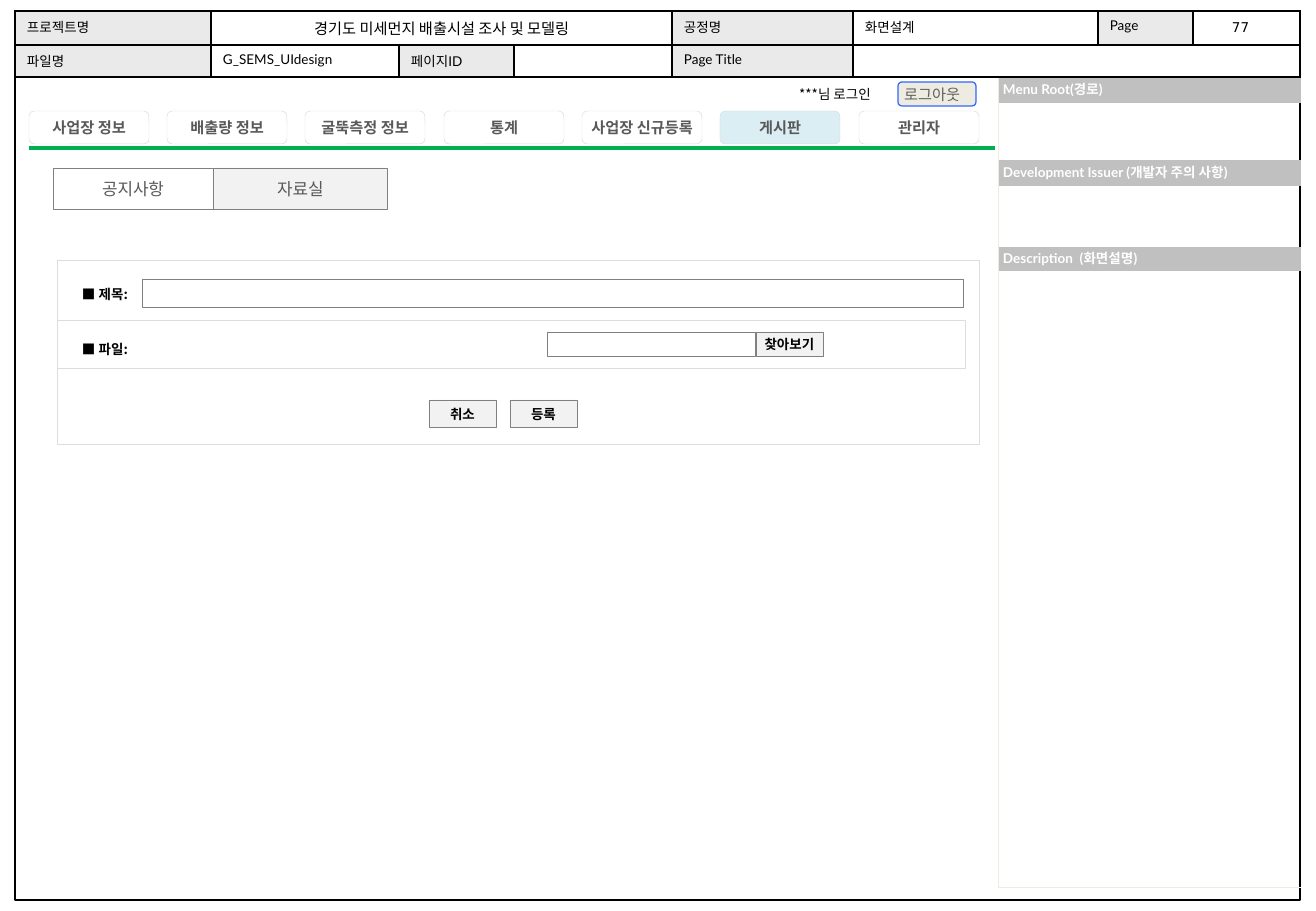
from lxml.etree import SubElement
from pptx import Presentation
from pptx.dml.color import RGBColor
from pptx.enum.shapes import MSO_CONNECTOR, MSO_SHAPE
from pptx.enum.text import MSO_ANCHOR, MSO_AUTO_SIZE, PP_ALIGN
from pptx.oxml.ns import qn
from pptx.util import Emu, Pt

PX = 7526
KR = "Noto Sans CJK KR"
RECT, ROUND = MSO_SHAPE.RECTANGLE, MSO_SHAPE.ROUNDED_RECTANGLE
LEFT, CENTER = PP_ALIGN.LEFT, PP_ALIGN.CENTER
BLACK, WHITE, GRAY, DARK = "000000", "FFFFFF", "808080", "595959"
LABEL, BAR, BUTTON, PALE = "EAEAEA", "C0C0C0", "F2F2F2", "EEECE1"

HEADER_COLS = [196, 188, 115, 158, 181, 245, 95, 107]
HEADER_ROWS = [34, 32]
HEADER = [
    ["프로젝트명", "경기도 미세먼지 배출시설 조사 및 모델링", "", "", "공정명", "화면설계", "Page", ""],
    ["파일명", "G_SEMS_UIdesign", "페이지ID", "", "Page Title", "", "", ""],
]
HEADER_LABELS = {"프로젝트명", "공정명", "Page", "파일명", "페이지ID", "Page Title"}
PROJECT_TITLE = HEADER[0][1]
HEADER_MERGES = [(0, 1, 3), (1, 5, 7)]

SIDE_ROWS = [24, 57, 26, 61, 24, 616]
SIDE = ["Menu Root(경로)", "", "Development Issuer (개발자 주의 사항)", "",
        "Description  (화면설명)", ""]

MENU = ["사업장 정보", "배출량 정보", "굴뚝측정 정보", "통계", "사업장 신규등록", "게시판", "관리자"]
ACTIVE_MENU = "게시판"
MENU_LEFT, MENU_SPAN = 29, 830

FORM_BOXES = [
    ((57, 260, 922, 184), None, "DDDDDD", 0.25),
    ((142, 279, 822, 29), WHITE, GRAY, 0.5),
    ((57, 320, 908, 48), None, "DDDDDD", 0.25),
    ((547, 332, 209, 24), WHITE, GRAY, 0.5),
]
FORM_LABELS = [("■ 제목:", (77, 273, 60, 34)), ("■ 파일:", (77, 328, 64, 34))]
FORM_BUTTONS = [
    ("찾아보기", (756, 332, 67, 24)),
    ("취소", (429, 400, 67, 28)),
    ("등록", (510, 400, 67, 28)),
]
TABS = [("공지사항", (53, 168, 160, 41), None), ("자료실", (213, 168, 175, 41), BUTTON)]


def px(*values):
    return [Emu(v * PX) for v in values]


def rgb(color):
    return RGBColor.from_string(color)


def paint(fill, color):
    if color:
        fill.solid()
        fill.fore_color.rgb = rgb(color)
    else:
        fill.background()


def write(tf, text, size, font=KR, color=BLACK, bold=False, align=LEFT, spacing=None, margin=5):
    tf.margin_left = tf.margin_right = Emu(margin * PX)
    tf.margin_top = tf.margin_bottom = Emu(5 * PX)
    tf.text = text
    p = tf.paragraphs[0]
    p.alignment = align
    if spacing:
        p.line_spacing = spacing
    for r in p.runs:
        r.font.size, r.font.name, r.font.bold = Pt(size), font, bold
        r.font.color.rgb = rgb(color)
        SubElement(r.font._element, qn("a:ea"), typeface=KR)


def add_box(box, fill, line, width, kind=RECT):
    sp = slide.shapes.add_shape(kind, *px(*box))
    sp.shadow.inherit = False
    paint(sp.fill, fill)
    sp.line.color.rgb = rgb(line)
    sp.line.width = Pt(width)
    return sp


def add_button(text, box, fill, line, width, kind=RECT, wrap=True, **style):
    tf = add_box(box, fill, line, width, kind).text_frame
    tf.vertical_anchor = MSO_ANCHOR.MIDDLE
    tf.word_wrap = wrap
    write(tf, text, **style)


def add_text(text, box, **style):
    tf = slide.shapes.add_textbox(*px(*box)).text_frame
    tf.word_wrap = False
    tf.auto_size = MSO_AUTO_SIZE.SHAPE_TO_FIT_TEXT
    write(tf, text, **style)


def add_grid(left, top, cols, rows):
    shape = slide.shapes.add_table(len(rows), len(cols), *px(left, top, sum(cols), sum(rows)))
    table = shape.table
    table.first_row = table.horz_banding = False
    for col, w in zip(table.columns, cols):
        col.width = Emu(w * PX)
    for row, h in zip(table.rows, rows):
        row.height = Emu(h * PX)
    return table


def fill_cell(cell, text, fill, borders, **style):
    tcPr = cell._tc.get_or_add_tcPr()
    for side in "LRTB":
        color, width = borders.get(side, (None, 0))
        ln = SubElement(tcPr, qn("a:ln" + side), w=str(Pt(width)))
        if color:
            SubElement(SubElement(ln, qn("a:solidFill")), qn("a:srgbClr"), val=color)
        else:
            SubElement(ln, qn("a:noFill"))
    paint(cell.fill, fill)
    if text:
        write(cell.text_frame, text, font="Lato", **style)
        margin = Emu(style.get("margin", 5) * PX)
        cell.margin_left = cell.margin_right = margin
        cell.margin_top = cell.margin_bottom = Emu((6 if margin > 5 * PX else 5) * PX)
    else:
        SubElement(cell.text_frame.paragraphs[0]._p, qn("a:endParaRPr"), sz="800")


prs = Presentation()
prs.slide_width, prs.slide_height = px(1316, 911)
slide = prs.slides.add_slide(prs.slide_layouts[6])

add_box((15, 77, 1285, 823), None, BLACK, 0.75)

side = add_grid(998, 78, [303], SIDE_ROWS)
for i, text in enumerate(SIDE):
    borders = {"L": (PALE, 0.25)}
    if i == len(SIDE) - 1:
        borders["B"] = (PALE, 0.25)
    cell = side.cell(i, 0)
    fill_cell(cell, text, BAR if text else None, borders, size=8, color=WHITE, bold=True,
              spacing=0.8 if i == 2 else 0.75)
    cell.vertical_anchor = MSO_ANCHOR.MIDDLE

header = add_grid(15, 11, HEADER_COLS, HEADER_ROWS)
for i, texts in enumerate(HEADER):
    for j, text in enumerate(texts):
        title = text == PROJECT_TITLE
        fill_cell(header.cell(i, j), text, LABEL if text in HEADER_LABELS else None,
                  {s: (BLACK, 1) for s in "LRTB"}, size=9 if title else 8,
                  align=CENTER if title else LEFT, margin=12)
for row, first, last in HEADER_MERGES:
    header.cell(row, first).merge(header.cell(row, last))

add_text("77", (1227, 6, 33, 30), size=8, font="DejaVu Sans", spacing=1.5)
add_text("***님 로그인", (787, 81, 101, 29), size=8, margin=12)
add_button("로그아웃", (898, 82, 78, 24), PALE, "3366FF", 0.75, ROUND,
           size=9, font="Cabin", color="5F5F5F")

rule = slide.shapes.add_connector(MSO_CONNECTOR.STRAIGHT, *px(29, 148, 995, 148))
rule.line.color.rgb = rgb("00B050")
rule.line.width = Pt(2.5)
SubElement(rule._element.spPr, qn("a:effectLst"))

for i, text in enumerate(MENU):
    x = MENU_LEFT + i * MENU_SPAN // (len(MENU) - 1)
    add_button(text, (x, 111, 120, 33), "DBEEF4" if text == ACTIVE_MENU else None,
               "D9D9D9", 0.25, ROUND, wrap=False, size=9, font="Lato", color=DARK,
               bold=True, align=CENTER)

for box in FORM_BOXES:
    add_box(*box)
for text, box in FORM_LABELS:
    add_text(text, box, size=8, bold=True, spacing=1.5)
for text, box in FORM_BUTTONS:
    add_button(text, box, BUTTON, GRAY, 0.5, wrap=False, size=8, bold=True, align=CENTER)
for text, box, fill in TABS:
    add_button(text, box, fill, GRAY, 0.5, size=10, color=DARK, align=CENTER)

prs.save("out.pptx")
